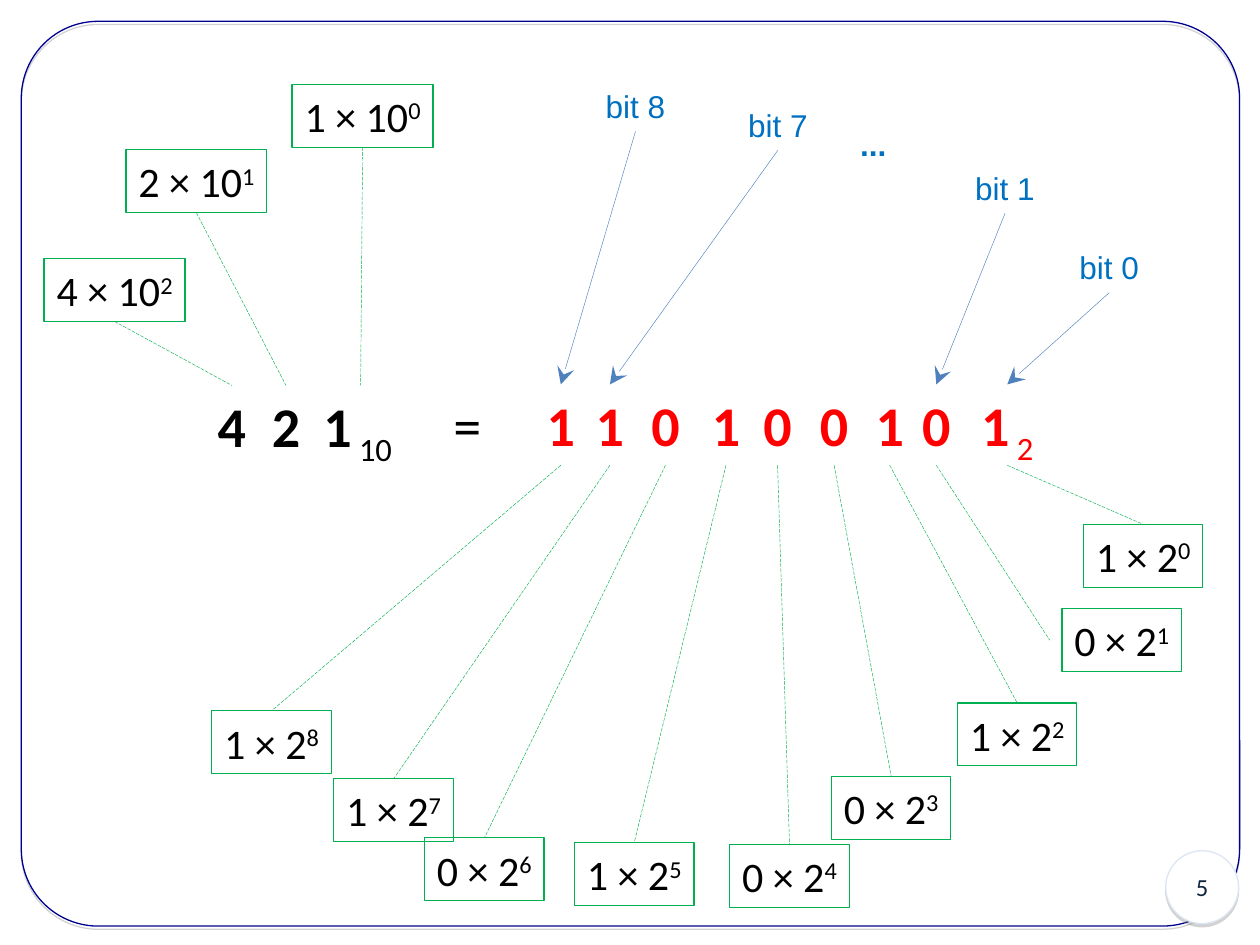
import pptx
import pptx.dml.color
import pptx.enum.dml
import pptx.enum.shapes
import pptx.enum.text
import pptx.oxml
import pptx.oxml.ns
import pptx.util
from lxml import etree

Cm, Pt = pptx.util.Cm, pptx.util.Pt
RGB = pptx.dml.color.RGBColor
SHAPE = pptx.enum.shapes.MSO_SHAPE
TEXT = pptx.enum.text
qn = pptx.oxml.ns.qn

NAVY, GREEN, BLUE = RGB(0, 0, 0x90), RGB(0, 0xB0, 0x50), RGB(0, 0x70, 0xC0)
ARROW, PALE, INK = RGB(0x4F, 0x81, 0xBD), RGB(0xDC, 0xE6, 0xF2), RGB(0x10, 0x25, 0x3F)
BLACK, RED, WHITE = RGB(0, 0, 0), RGB(0xFF, 0, 0), RGB(0xFF, 0xFF, 0xFF)

# Content, lengths in cm: digit, exponent, digit left, term box left and top
DECIMAL = [
    ("4", 2, 4.14, 0.89, 5.21),
    ("2", 1, 5.23, 2.54, 3.02),
    ("1", 0, 6.27, 5.89, 1.7),
]
BINARY = [
    ("1", 8, 10.77, 4.27, 14.33),
    ("1", 7, 11.76, 6.73, 15.7),
    ("0", 6, 12.88, 8.56, 16.89),
    ("1", 5, 14.1, 11.58, 16.99),
    ("0", 4, 15.14, 14.71, 17.02),
    ("0", 3, 16.28, 16.76, 15.65),
    ("1", 2, 17.4, 19.3, 14.17),
    ("0", 1, 18.34, 21.41, 12.27),
    ("1", 0, 19.53, 21.84, 10.57),
]
# Base: digits, digit colour, digit top, term width, last digit width, terms above
NUMBERS = {
    "10": (DECIMAL, BLACK, 7.77, 2.84, 2.0, True),
    "2": (BINARY, RED, 7.75, 2.41, 1.55, False),
}
BIT_LABELS = {8: (11.96, 1.63), 7: (14.83, 2.01), 1: (19.41, 3.28), 0: (21.51, 4.88)}
DIGIT_W, DIGIT_H, TERM_H = 1.07, 1.63, 1.27
LABEL_W, LABEL_H = 1.7, 1.02
SIDE_GAP = 0.25  # gap left of the term that is reached from the side


def add_run(p, text, size, color, font="Calibri", bold=False, baseline=0):
    r = p.add_run()
    r.text = text
    r.font.size, r.font.name, r.font.bold = Pt(size), font, bold
    r.font.color.rgb = color
    if baseline:
        r._r.get_or_add_rPr().set("baseline", str(baseline * 1000))


def add_text(s, x, y, w, h):
    tf = s.shapes.add_textbox(Cm(x), Cm(y), Cm(w), Cm(h)).text_frame
    tf.word_wrap = False
    tf.auto_size = TEXT.MSO_AUTO_SIZE.SHAPE_TO_FIT_TEXT
    return tf.paragraphs[0]


def add_term(s, x, y, w, digit, base, exponent):
    sp = s.shapes.add_shape(SHAPE.RECTANGLE, Cm(x), Cm(y), Cm(w), Cm(TERM_H))
    sp.shadow.inherit = False
    sp.fill.background()
    sp.line.color.rgb, sp.line.width = GREEN, Pt(0.75)
    tf = sp.text_frame
    tf.word_wrap = False
    tf.vertical_anchor = TEXT.MSO_ANCHOR.TOP
    p = tf.paragraphs[0]
    p.alignment = TEXT.PP_ALIGN.LEFT
    add_run(p, f"{digit} × {base}", 24, BLACK)
    add_run(p, str(exponent), 24, BLACK, baseline=30)


def add_line(s, start, end, color, arrow=False):
    ends = [Cm(v) for v in (*start, *end)]
    sp = s.shapes.add_connector(pptx.enum.shapes.MSO_CONNECTOR.STRAIGHT, *ends)
    sp.line.color.rgb, sp.line.width = color, Pt(0.25)
    if arrow:
        etree.SubElement(sp.line._get_or_add_ln(), qn("a:tailEnd"),
                         type="stealth", w="lg", len="lg")
    else:
        sp.line.dash_style = pptx.enum.dml.MSO_LINE.LONG_DASH
    etree.SubElement(sp._element.spPr, qn("a:effectLst"))


def add_shadowed(s, kind, x, y, w, h, line):
    sp = s.shapes.add_shape(kind, Cm(x), Cm(y), Cm(w), Cm(h))
    sp.line.color.rgb, sp.line.width = line, Pt(0.75)
    sp.shadow.inherit = False
    shadow = etree.SubElement(
        sp._element.spPr.find(qn("a:effectLst")), qn("a:outerShdw"),
        blurRad="0", dist=str(Pt(1.8)), dir="5400000", rotWithShape="0")
    color = etree.SubElement(shadow, qn("a:srgbClr"), val="808080")
    etree.SubElement(color, qn("a:alpha"), val="35000")
    return sp


prs = pptx.Presentation()
prs.slide_width, prs.slide_height = Cm(25.4), Cm(19.05)
s = prs.slides.add_slide(prs.slide_layouts[6])

# Frame and page number
frame = add_shadowed(s, SHAPE.ROUNDED_RECTANGLE, 0.43, 0.43, 24.56, 18.24, NAVY)
frame.adjustments[0] = 0.085
frame.fill.background()
badge = add_shadowed(s, SHAPE.OVAL, 23.5, 17.15, 1.47, 1.47, PALE)
badge.fill.solid()
badge.fill.fore_color.rgb = WHITE
badge.text_frame.vertical_anchor = TEXT.MSO_ANCHOR.MIDDLE
p = badge.text_frame.paragraphs[0]
p.alignment = TEXT.PP_ALIGN.CENTER
add_run(p, "5", 14, INK)

# Both numbers: digits, their terms, the dashed lines and the bit arrows
for base, (digits, color, top, term_w, last_w, above) in NUMBERS.items():
    for digit, exponent, x, term_x, term_y in digits:
        width = DIGIT_W if exponent else last_w
        center = x + width / 2
        p = add_text(s, x, top, width, DIGIT_H)
        add_run(p, digit, 32, color, bold=True)
        if exponent == 0:
            add_run(p, " " + base, 32, color, baseline=-25)

        add_term(s, term_x, term_y, term_w, digit, base, exponent)
        term_center = term_x + term_w / 2
        if above:
            add_line(s, (term_center, term_y + TERM_H), (center, top), GREEN)
            continue
        if exponent == 1:
            end = (term_x - SIDE_GAP, term_y + TERM_H / 2)
        else:
            end = (term_center, term_y)
        add_line(s, (center, top + DIGIT_H), end, GREEN)

        if exponent in BIT_LABELS:
            bit_x, bit_y = BIT_LABELS[exponent]
            p = add_text(s, bit_x, bit_y, LABEL_W, LABEL_H)
            add_run(p, f"bit {exponent}", 18, BLUE, font="Arial")
            add_line(s, (bit_x + LABEL_W / 2, bit_y + LABEL_H), (center, top), ARROW, arrow=True)

# Equals sign and the dots between the bit labels
add_run(add_text(s, 8.89, 7.75, DIGIT_W, DIGIT_H), "=", 32, BLACK)
add_run(add_text(s, 17.09, 2.39, 1.04, LABEL_H), "...", 18, BLUE, font="Arial", bold=True)

prs.save("out.pptx")
